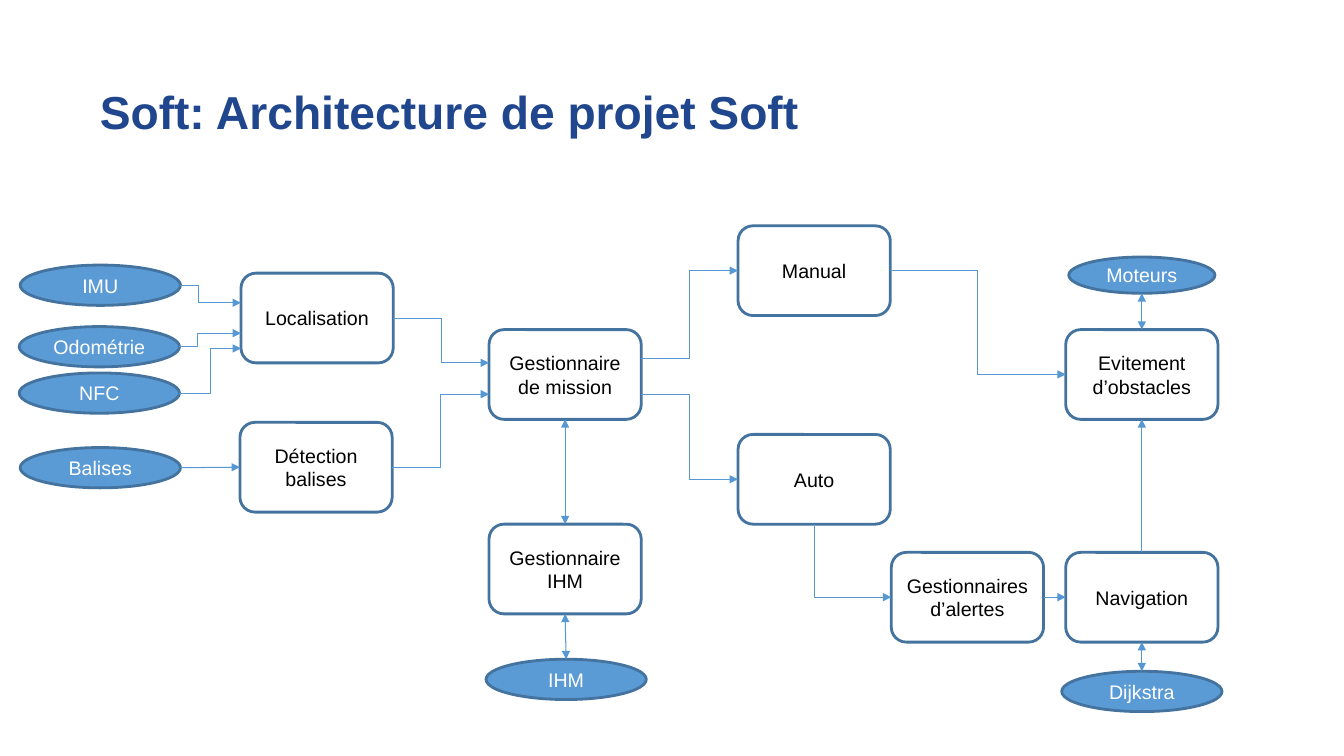
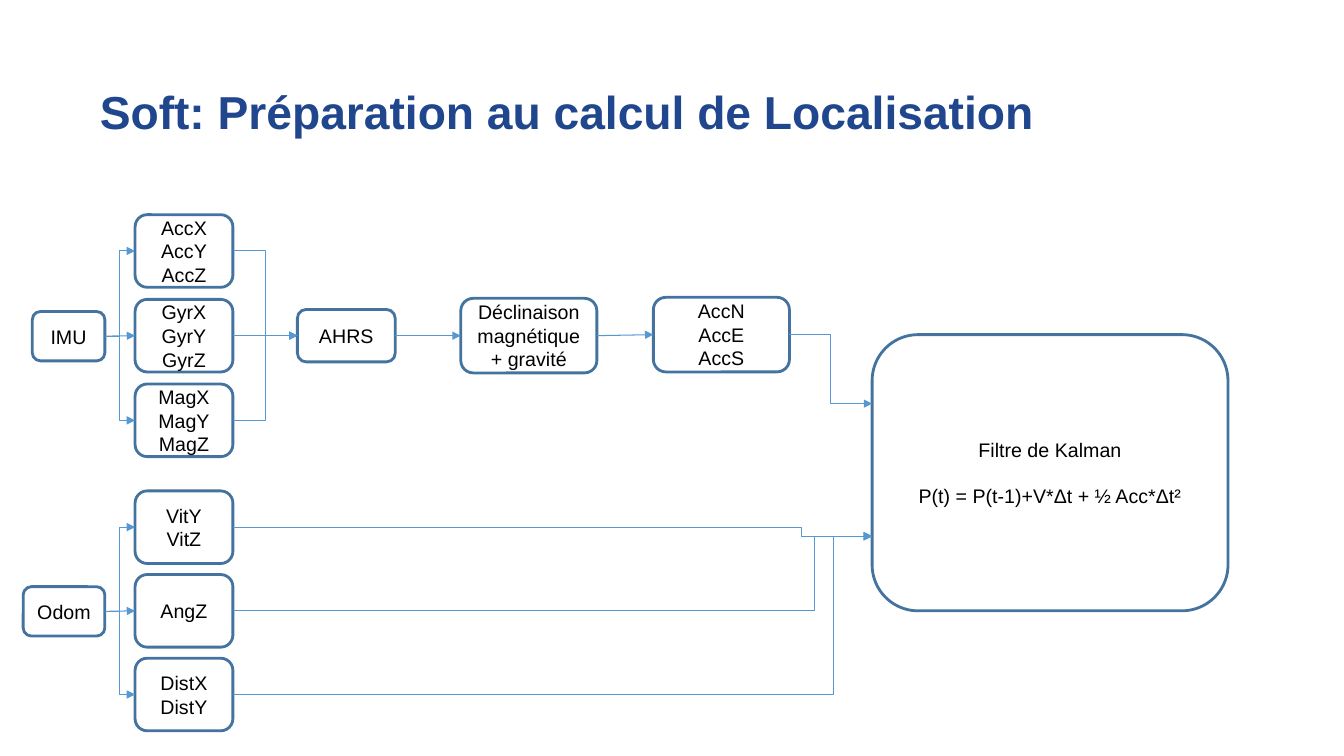
"""Draw two flow diagrams: the software architecture and the localisation inputs."""
from lxml.etree import SubElement
from pptx import Presentation
from pptx.dml.color import RGBColor
from pptx.enum.shapes import MSO_CONNECTOR, MSO_SHAPE
from pptx.enum.text import MSO_ANCHOR, PP_ALIGN
from pptx.oxml.ns import qn
from pptx.util import Inches, Pt

HUES = {"title": "20468D", "edge": "43739E", "fill": "5B9BD5",
        "link": "5698D3", "dark": "000000", "light": "FFFFFF"}
TITLE = {"name": "Arial", "size": Pt(33), "bold": True}
LABEL = {"name": "Arial", "size": Pt(14)}
FRAME = {"word_wrap": True, "vertical_anchor": MSO_ANCHOR.MIDDLE}
INSET = {"margin_left": Inches(0.07), "margin_right": Inches(0.07),
         "margin_top": Inches(0.04), "margin_bottom": Inches(0.04)}
SIDES = {"T": (0.5, 0), "L": (0, 0.5), "B": (0.5, 1), "R": (1, 0.5)}
ONE, BOTH = ("tailEnd",), ("headEnd", "tailEnd")
STEP, OVAL = (1.51, 0.89), (1.59, 0.4)
CELL, WIDE = (0.97, 0.72), (1.35, 0.74)


def style(item, *looks, hue=None):
    """Set each format value on the item, then its colour."""
    for look in looks:
        for name, value in look.items():
            setattr(item, name, value)
    if hue:
        item.color.rgb = RGBColor.from_string(HUES[hue])


def port(spots, key, side, part=0.5):
    """Return the point on a side of a shape, part of the way along it."""
    spot = spots[key]
    across, down = SIDES[side]
    if side in "LR":
        down = part
    else:
        across = part
    return (int(spot.left + across * spot.width),
            int(spot.top + down * spot.height))


soft = [
    ("mission", "Gestionnaire de mission", 4.85, 3.27, STEP),
    ("auto", "Auto", 7.32, 4.31, STEP),
    ("manual", "Manual", 7.32, 2.24, STEP),
    ("local", "Localisation", 2.39, 2.71, STEP),
    ("detect", "Détection balises", 2.38, 4.19, STEP),
    ("panel", "Gestionnaire IHM", 4.85, 5.2, STEP),
    ("alert", "Gestionnaires d’alertes", 8.84, 5.48, STEP),
    ("nav", "Navigation", 10.57, 5.48, STEP),
    ("avoid", "Evitement d’obstacles", 10.57, 3.27, STEP),
    ("imu", "IMU", 0.2, 2.63, OVAL),
    ("odo", "Odométrie", 0.19, 3.24, OVAL),
    ("nfc", "NFC", 0.19, 3.7, OVAL),
    ("beacon", "Balises", 0.2, 4.44, OVAL),
    ("ihm", "IHM", 4.82, 6.54, OVAL),
    ("path", "Dijkstra", 10.53, 6.66, OVAL),
    ("motor", "Moteurs", 10.6, 2.55, (1.45, 0.36)),
]
flow = [
    (("imu", "R"), ("local", "L", 0.33), 0.3, ONE),
    (("odo", "R"), ("local", "L", 0.67), 0.3, ONE),
    (("nfc", "R"), ("local", "L", 0.84), 0.5, ONE),
    (("beacon", "R"), ("detect", "L"), None, ONE),
    (("local", "R"), ("mission", "L", 0.37), 0.5, ONE),
    (("detect", "R"), ("mission", "L", 0.72), 0.5, ONE),
    (("mission", "R", 0.32), ("manual", "L"), 0.5, ONE),
    (("mission", "R", 0.72), ("auto", "L"), 0.5, ONE),
    (("mission", "B"), ("panel", "T"), None, BOTH),
    (("panel", "B"), ("ihm", "T"), None, BOTH),
    (("alert", "L"), ("auto", "B"), 0, ("headEnd",)),
    (("alert", "R"), ("nav", "L"), None, ONE),
    (("nav", "T"), ("avoid", "B"), None, ONE),
    (("nav", "B"), ("path", "T"), None, BOTH),
    (("manual", "R"), ("avoid", "L"), 0.5, ONE),
    (("avoid", "T"), ("motor", "B"), None, BOTH),
]

prep = [
    ("imu", "IMU", 0.32, 3.09, (0.72, 0.49)),
    ("ahrs", "AHRS", 2.95, 3.07, (0.97, 0.52)),
    ("decl", "Déclinaison magnétique\n+ gravité", 4.57, 2.96, WIDE),
    ("accn", "AccN\nAccE\nAccS", 6.48, 2.95, WIDE),
    ("odom", "Odom", 0.23, 5.82, (0.81, 0.49)),
    ("kalman", "Filtre de Kalman\nP(t) = P(t-1)+V*Δt + ½ Acc*Δt²", 8.65, 3.32, (3.53, 2.74)),
]
feed = [
    (("ahrs", "R"), ("decl", "L"), None, ONE),
    (("decl", "R"), ("accn", "L"), None, ONE),
    (("accn", "R"), ("kalman", "L", 0.25), 0.5, ONE),
]
for row, name in enumerate(("Acc", "Gyr", "Mag")):
    bend = None if row == 1 else 0.5
    prep.append((name, "\n".join(name + axis for axis in "XYZ"), 1.34, 2.13 + 0.84 * row, CELL))
    feed += [(("imu", "R"), (name, "L"), bend, ONE),
             ((name, "R"), ("ahrs", "L"), bend, ONE)]
for row, (name, text, turn) in enumerate((("vit", "VitY\nVitZ", 0.89),
                                          ("ang", "AngZ", 0.91),
                                          ("dist", "DistX\nDistY", 0.94))):
    bend = None if row == 1 else 0.5
    prep.append((name, text, 1.34, 4.87 + 0.83 * row, CELL))
    feed += [(("odom", "R"), (name, "L"), bend, ONE),
             ((name, "R"), ("kalman", "L", 0.73), turn, ONE)]

deck = Presentation()
deck.slide_width, deck.slide_height = Inches(13.33), Inches(7.5)

for title, boxes, links in (
        ("Soft: Architecture de projet Soft", soft, flow),
        ("Soft: Préparation au calcul de Localisation", prep, feed)):
    slide = deck.slides.add_slide(deck.slide_layouts[6])
    head = slide.shapes.add_textbox(Inches(0.92), Inches(0.84), Inches(11.5), Inches(0.59))
    style(head.text_frame, FRAME, INSET, {"text": title})
    line = head.text_frame.paragraphs[0]
    line.line_spacing = 0.9
    style(line.font, TITLE, hue="title")

    spots = {}
    for key, text, left, top, (width, height) in boxes:
        oval = height <= 0.4
        kind = MSO_SHAPE.OVAL if oval else MSO_SHAPE.ROUNDED_RECTANGLE
        box = slide.shapes.add_shape(kind, Inches(left), Inches(top),
                                     Inches(width), Inches(height))
        box.shadow.inherit = False
        if oval:
            box.fill.solid()
            box.fill.fore_color.rgb = RGBColor.from_string(HUES["fill"])
        else:
            box.fill.background()
        style(box.line, {"width": Pt(2)}, hue="edge")
        style(box.text_frame, FRAME, {"text": text})
        for line in box.text_frame.paragraphs:
            line.alignment = PP_ALIGN.CENTER
            style(line.font, LABEL, hue="light" if oval else "dark")
        spots[key] = box

    for start, end, bend, tips in links:
        kind = MSO_CONNECTOR.STRAIGHT if bend is None else MSO_CONNECTOR.ELBOW
        link = slide.shapes.add_connector(kind, *port(spots, *start), *port(spots, *end))
        style(link.line, {"width": Pt(0.75)}, hue="link")
        props = link.element.spPr
        for tip in tips:
            SubElement(props.find(qn("a:ln")), qn("a:" + tip), type="triangle")
        SubElement(props, qn("a:effectLst"))
        if bend is None:
            for (key, side), join in ((start, link.begin_connect), (end, link.end_connect)):
                if spots[key].auto_shape_type == MSO_SHAPE.ROUNDED_RECTANGLE:
                    join(spots[key], "TLBR".index(side))
        elif bend == 0:
            props.find(qn("a:prstGeom")).set("prst", "bentConnector2")
        else:
            SubElement(props.find(qn("a:prstGeom")).find(qn("a:avLst")), qn("a:gd"),
                       name="adj1", fmla=f"val {round(bend * 100000)}")

spots["kalman"].text_frame.paragraphs[1].space_before = Pt(16)
deck.save("out.pptx")
